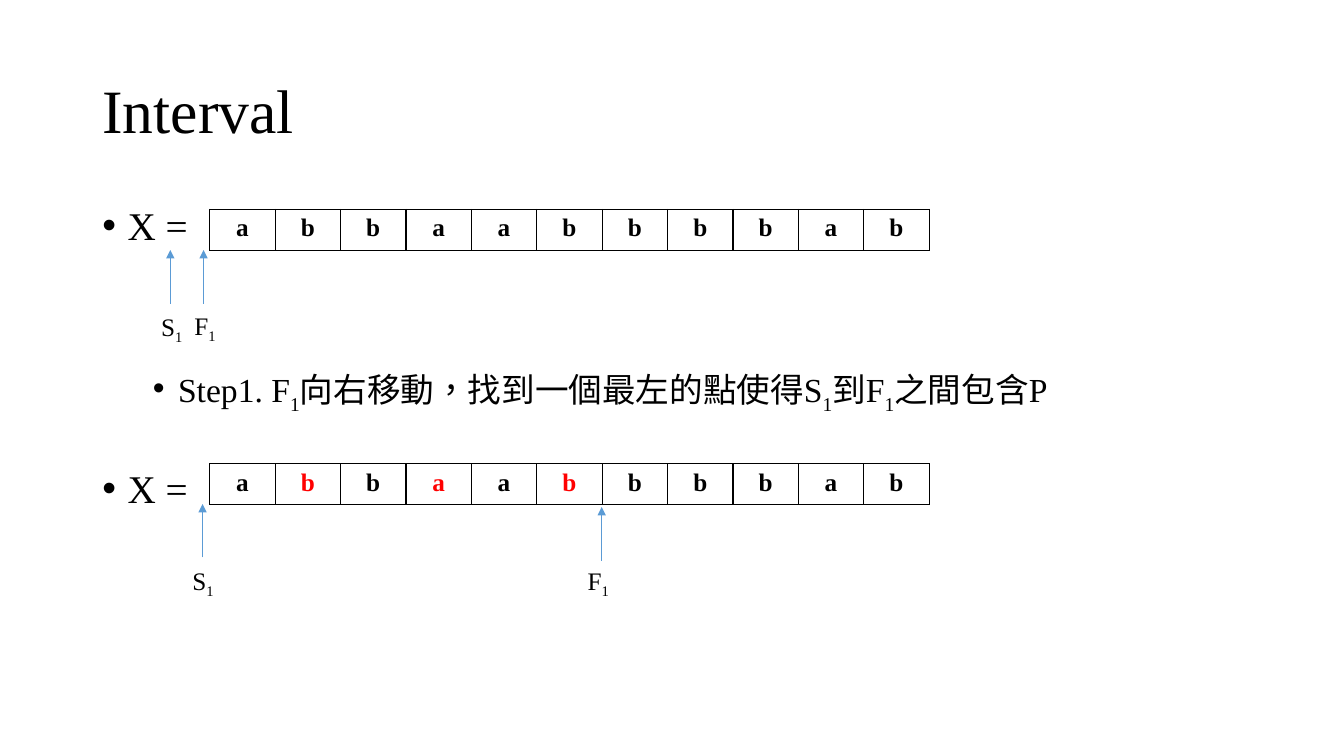
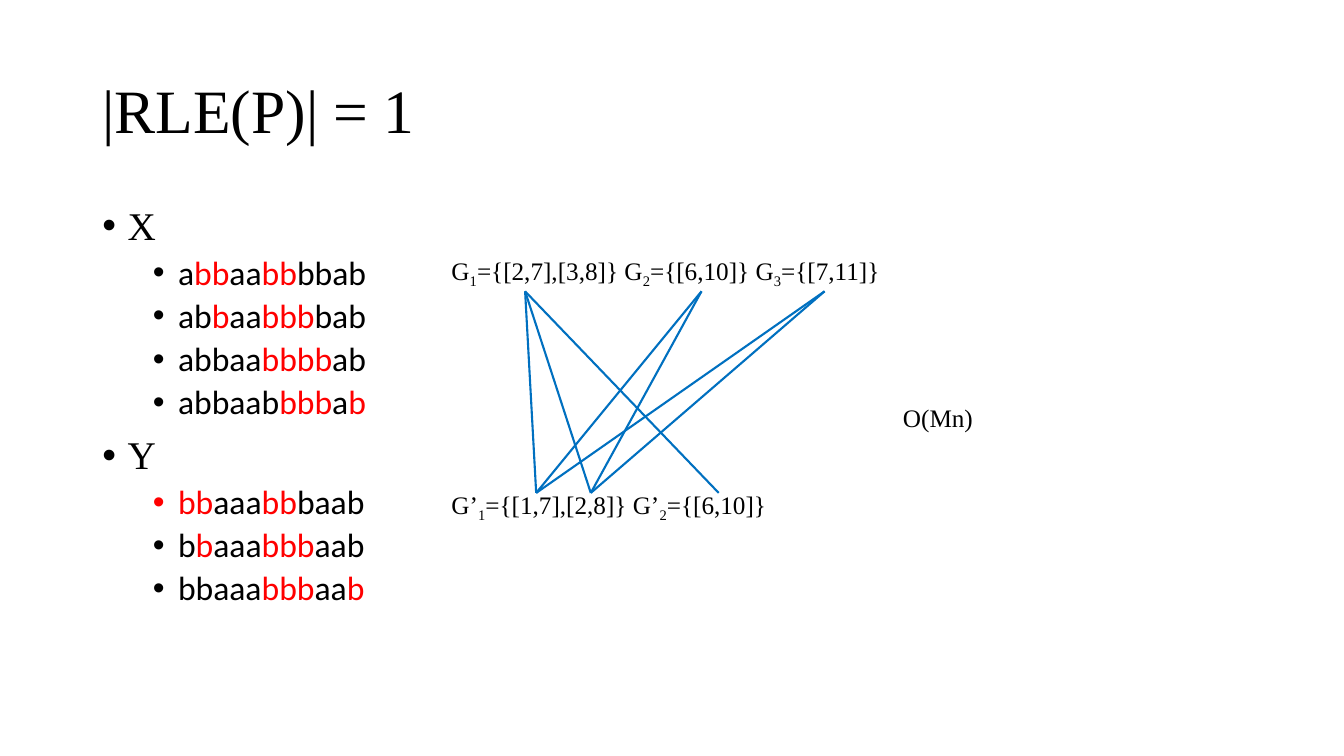
from lxml import etree
from pptx import Presentation
from pptx.dml.color import RGBColor
from pptx.enum import lang, shapes, text
from pptx.oxml import ns
from pptx.util import Pt

# Shared look
SERIF, SANS = "Times New Roman", "Calibri"
BLACK, RED = "000000", "FF0000"
ARROW_BLUE, LINK_BLUE = "5B9BD5", "0070C0"
TITLE_BOX = (66, 28.8, 828, 104.4)
BODY_BOX = (66, 144, 828, 342.7)
TITLE = {"size": Pt(44), "name": SERIF}
LABEL = {"size": Pt(18), "name": SERIF}
CELL = {**LABEL, "bold": True}
BULLETS = [
    {"size": Pt(28), "name": SERIF},
    {"size": Pt(24), "name": SERIF,
     "language_id": lang.MSO_LANGUAGE_ID.TRADITIONAL_CHINESE},
]
CODE_BULLET = {"size": Pt(24), "name": SANS}
SPACE_BEFORE = [10, 5]
INDENT = [18, 54]


def color(hex_text):
    return RGBColor.from_string(hex_text)


def add_xml(parent, tag, **attributes):
    element = etree.SubElement(parent, ns.qn(tag))
    for name, value in attributes.items():
        element.set(name, str(value))
    return element


def place(shape, box):
    for name, value in zip(("left", "top", "width", "height"), box):
        setattr(shape, name, Pt(value))


# Text: *red* marks red letters, _ lowers the next character
def pieces(marked):
    for index, part in enumerate(marked.split("*")):
        ink = RED if index % 2 else BLACK
        first, *others = part.split("_")
        yield first, ink, False
        for other in others:
            yield other[0], ink, True
            yield other[1:], ink, False


def write(paragraph, marked, formats):
    for words, ink, lowered in pieces(marked):
        if not words:
            continue
        run = paragraph.add_run()
        run.text = words
        for name, value in formats.items():
            setattr(run.font, name, value)
        run.font.color.rgb = color(ink)
        if lowered:
            run.font._element.set("baseline", "-25000")


def add_slide(presentation, title):
    slide = presentation.slides.add_slide(presentation.slide_layouts[1])
    place(slide.shapes.title, TITLE_BOX)
    frame = slide.shapes.title.text_frame
    frame.auto_size = text.MSO_AUTO_SIZE.NONE
    frame.vertical_anchor = text.MSO_ANCHOR.MIDDLE
    paragraph = frame.paragraphs[0]
    paragraph.alignment = text.PP_ALIGN.LEFT
    paragraph.line_spacing = 0.9
    write(paragraph, title, TITLE)
    return slide


def fill_body(slide, items):
    """Each item is (level, marked text, formats, space before)."""
    body = slide.placeholders[1]
    place(body, BODY_BOX)
    frame = body.text_frame
    frame.auto_size = text.MSO_AUTO_SIZE.NONE
    for index, (level, marked, formats, space) in enumerate(items):
        paragraph = frame.add_paragraph() if index else frame.paragraphs[0]
        paragraph.level = level
        paragraph.line_spacing = 0.9
        paragraph.space_before = Pt(space if index else 0)
        properties = paragraph._p.get_or_add_pPr()
        properties.set("marL", str(Pt(INDENT[level])))
        properties.set("indent", str(-Pt(18)))
        add_xml(properties, "a:buFont", typeface="Arial")
        add_xml(properties, "a:buChar", char="•")
        write(paragraph, marked, formats)


def add_label(slide, marked, left, top, width):
    box = slide.shapes.add_textbox(Pt(left), Pt(top), Pt(width), Pt(29))
    box.text_frame.word_wrap = True
    write(box.text_frame.paragraphs[0], marked, LABEL)


def add_line(slide, start, end, ink, width, arrow=False):
    line = slide.shapes.add_connector(
        shapes.MSO_CONNECTOR.STRAIGHT, *map(Pt, start + end))
    line.line.color.rgb = color(ink)
    line.line.width = Pt(width)
    if arrow:
        add_xml(line.line._get_or_add_ln(), "a:tailEnd", type="triangle")
    add_xml(line._element.spPr, "a:effectLst")


def add_marker(slide, marked, x, tip, left, top):
    add_line(slide, (x, tip + 38.2), (x, tip), ARROW_BLUE, 0.5, arrow=True)
    add_label(slide, marked, left, top, 48)


# One-row table with a letter in each cell
def add_letters(slide, marked, top):
    letters = [(letter, ink) for words, ink, _ in pieces(marked)
               for letter in words]
    table = slide.shapes.add_table(
        1, len(letters), Pt(149.8), Pt(top), Pt(514), Pt(29.2)).table
    table.first_row = table.horz_banding = False
    for cell, (letter, ink) in zip(table.rows[0].cells, letters):
        paragraph = cell.text_frame.paragraphs[0]
        paragraph.alignment = text.PP_ALIGN.CENTER
        write(paragraph, f"*{letter}*" if ink == RED else letter, CELL)
        properties = cell._tc.get_or_add_tcPr()
        for side in "LRTB":
            border = add_xml(properties, f"a:ln{side}", w=Pt(1))
            fill = add_xml(border, "a:solidFill")
            add_xml(fill, "a:srgbClr", val=BLACK)
        cell.fill.background()


def build_interval(presentation):
    slide = add_slide(presentation, "Interval")
    step = "Step1. F_1向右移動，找到一個最左的點使得S_1到F_1之間包含P"
    fill_body(slide, [
        (0, "X =", BULLETS[0], 0),
        (1, step, BULLETS[1], 86.4),
        (0, "X =", BULLETS[0], 41.4),
    ])
    # Start position
    add_letters(slide, "abbaabbbbab", 149.6)
    add_marker(slide, "S_1", 121.7, 178.6, 108, 218.9)
    add_marker(slide, "F_1", 145.4, 178.6, 131.8, 218.2)
    # After step 1
    add_letters(slide, "a*b*b*a*a*b*bbbab", 331.2)
    add_marker(slide, "S_1", 144.7, 360, 130.3, 400.3)
    add_marker(slide, "F_1", 429.8, 362.2, 412.6, 400.3)


def build_single_run(presentation):
    slide = add_slide(presentation, "|RLE(P)| = 1")
    groups = {
        "X": ["a*bb*aa*bb*bbab", "ab*b*aa*bbb*bab",
              "abbaa*bbbb*ab", "abbaab*bbb*a*b*"],
        "Y": ["*bb*aaa*bb*baab", "b*b*aaa*bbb*aab", "bbaaa*bbb*aa*b*"],
    }
    items = []
    for heading, strings in groups.items():
        items.append((0, heading, BULLETS[0], SPACE_BEFORE[0]))
        items += [(1, string, CODE_BULLET, SPACE_BEFORE[1])
                  for string in strings]
    fill_body(slide, items)
    # Interval sets
    add_label(slide, "G_1={[2,7],[3,8]} G_2={[6,10]} G_3={[7,11]}",
              315.4, 178.6, 547)
    add_label(slide, "G’_1={[1,7],[2,8]} G’_2={[6,10]}", 315.4, 345.6, 547)
    add_label(slide, "O(Mn)", 637.9, 283.7, 92)
    # Links from each upper interval to the lower ones
    links = {375.1: (383, 422, 513.4), 501.1: (383, 422), 589: (383, 422)}
    for upper, lowers in links.items():
        for lower in lowers:
            add_line(slide, (lower, 352.1), (upper, 208.1), LINK_BLUE, 1.5)


def main():
    presentation = Presentation()
    presentation.slide_width, presentation.slide_height = Pt(960), Pt(540)
    build_interval(presentation)
    build_single_run(presentation)
    presentation.save("out.pptx")


if __name__ == "__main__":
    main()
